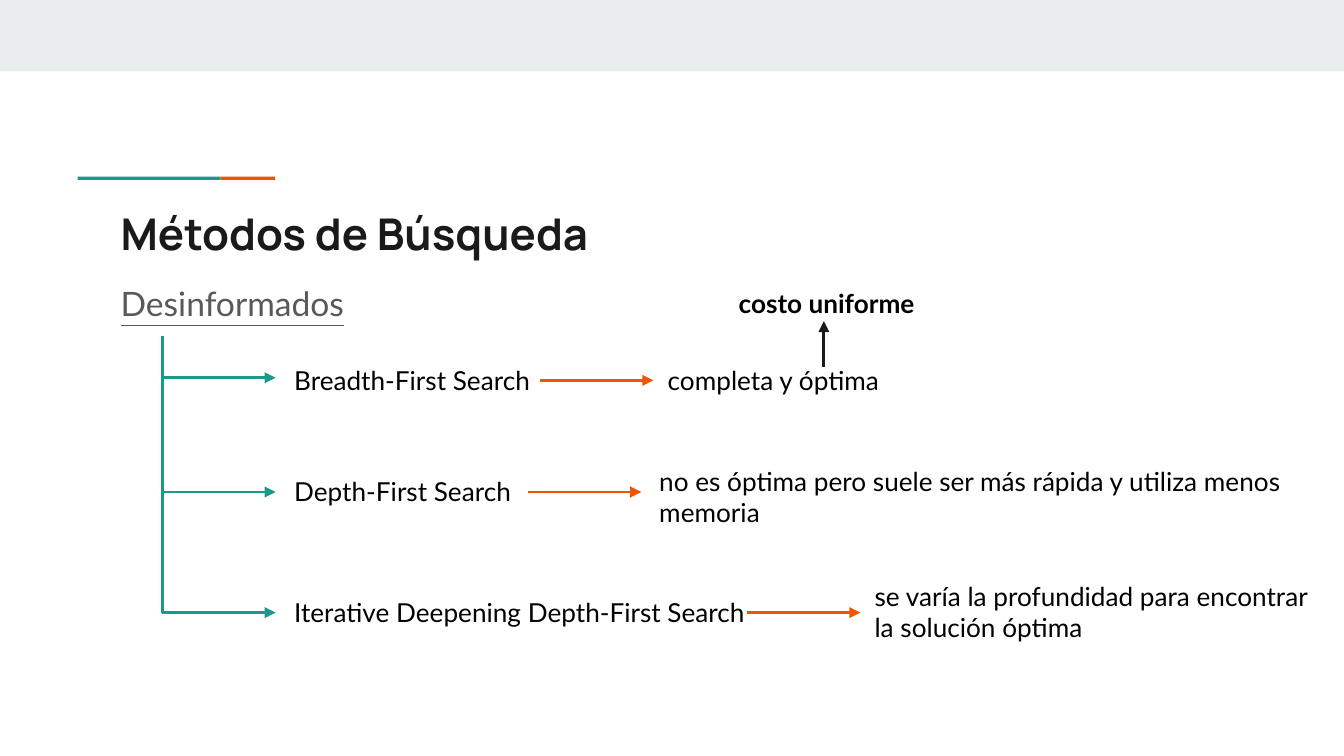
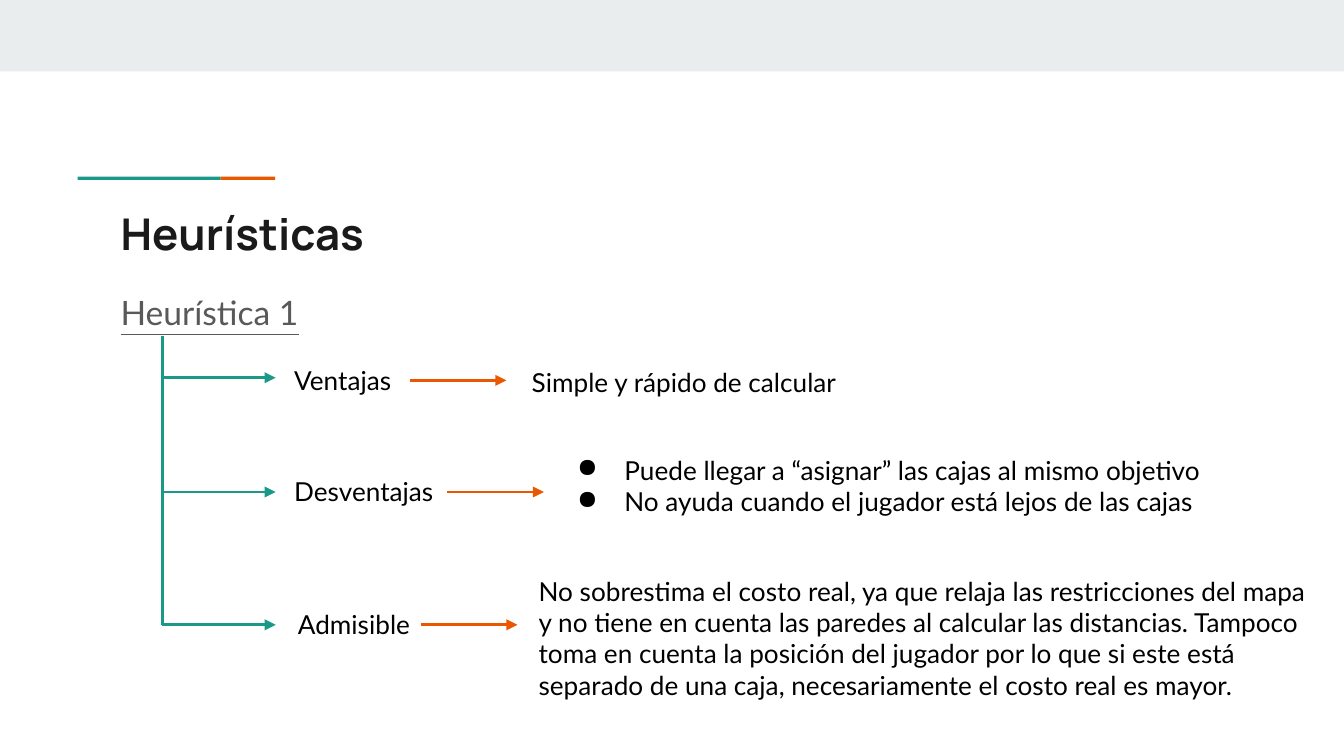
from dataclasses import dataclass
from lxml.etree import SubElement
from pptx import Presentation
from pptx.dml.color import RGBColor
from pptx.enum.shapes import MSO_CONNECTOR, MSO_SHAPE
from pptx.enum.text import MSO_ANCHOR, MSO_AUTO_SIZE, PP_ALIGN
from pptx.oxml.ns import qn
from pptx.util import Cm, Pt

HUES = {"band": "E9EDEE", "teal": "1A9988", "fire": "EB5600",
        "ink": "1A1A1A", "gray": "595959", "black": "000000"}
WIDE, HIGH = 25.4, 14.29
TREE = (3.07, 6.35)
STEM = 2.14
LINE = 1.12


@dataclass
class Row:
    y: float
    label: str
    width: float
    start: float
    span: float
    note: tuple
    box: tuple
    left: float = 2.24
    lift: float = 0
    dots: bool = False


def hue(name):
    return RGBColor.from_string(HUES[name])


def place(shape, box):
    shape.left, shape.top, shape.width, shape.height = map(Cm, box)


def write(shape, *lines, size=14, font="Lato", color="black", bold=False,
          under=False, space=1, after=0, dots=False, fit=MSO_AUTO_SIZE.NONE):
    frame = shape.text_frame
    frame.text = "\n".join(lines)
    frame.word_wrap = True
    frame.auto_size = fit
    frame.vertical_anchor = MSO_ANCHOR.TOP
    frame.margin_left = frame.margin_right = Cm(0.25)
    frame.margin_top = frame.margin_bottom = Cm(0.25)
    for para in frame.paragraphs:
        para.alignment = PP_ALIGN.LEFT
        para.line_spacing = space
        para.space_before, para.space_after = Pt(0), Pt(after)
        face = para.runs[0].font
        face.name, face.size = font, Pt(size)
        face.bold, face.underline = bold, under
        face.color.rgb = hue(color)
        props = para._p.get_or_add_pPr()
        props.set("marL", str(Cm(1.27) if dots else 0))
        props.set("indent", str(Cm(-0.89) if dots else 0))
        if dots:
            tint = SubElement(props, qn("a:buClr"))
            SubElement(tint, qn("a:srgbClr"), val=HUES[color])
            SubElement(props, qn("a:buChar"), char="●")
        else:
            SubElement(props, qn("a:buNone"))


def label(slide, box, *lines, **style):
    shape = slide.shapes.add_textbox(*map(Cm, box))
    write(shape, *lines, fit=MSO_AUTO_SIZE.SHAPE_TO_FIT_TEXT, **style)


def block(slide, box, color):
    shape = slide.shapes.add_shape(MSO_SHAPE.RECTANGLE, *map(Cm, box))
    shape.shadow.inherit = False
    shape.fill.solid()
    shape.fill.fore_color.rgb = hue(color)
    shape.line.fill.background()


def stroke(slide, start, end, color, head=True):
    line = slide.shapes.add_connector(
        MSO_CONNECTOR.STRAIGHT, *map(Cm, (*start, *end)))
    line.line.color.rgb = hue(color)
    line.line.width = Pt(1.5)
    if head:
        SubElement(line.line._get_or_add_ln(), qn("a:tailEnd"), type="triangle")
    SubElement(line._element.spPr, qn("a:effectLst"))


def frame(deck, title, topic, width, space):
    slide = deck.slides.add_slide(deck.slide_layouts[1])
    block(slide, (0, 0, WIDE, 1.35), "band")
    block(slide, (1.47, 3.34, 2.7, 0.06), "teal")
    block(slide, (4.17, 3.34, 1.03, 0.06), "fire")
    head, body = slide.placeholders
    place(head, (2.03, 3.66, 21.36, 1.5))
    write(head, title, size=23.4, font="Manrope", color="ink", bold=True)
    place(body, (2.03, 5.16, width, 1.19))
    write(body, topic, size=18, color="gray", under=True, space=space, after=12)
    return slide


def branch(slide, x, y, row):
    stroke(slide, (x, y - row.lift), (x + STEM, y - row.lift), "teal")
    label(slide, (x + row.left, y - LINE / 2, row.width, LINE), row.label)
    start = x + row.start
    stroke(slide, (start, y), (start + row.span, y), "fire")
    left, top, width, height = row.box
    label(slide, (x + left, y + top, width, height), *row.note, dots=row.dots)


def tree(slide, spot, rows):
    x, y = spot
    stroke(slide, spot, (x, y + rows[-1].y), "teal", head=False)
    for row in rows:
        branch(slide, x, y + row.y, row)


def cost(slide, spot):
    x, y = spot
    stroke(slide, (x + 12.5, y + 0.58), (x + 12.5, y - 0.28), "ink")
    label(slide, (x + 10.64, y - 1.17, 4.06, LINE), "costo uniforme", bold=True)


SEARCH = [
    Row(0.84, "Breadth-First Search", 5.44, 7.14, 2.14,
        ("completa y óptima",), (9.3, -0.56, 4.67, LINE), lift=0.05),
    Row(2.95, "Depth-First Search", 4.67, 6.91, 2.14,
        ("no es óptima pero suele ser más rápida y utiliza menos memoria",),
        (9.14, -0.76, 12.7, 1.7)),
    Row(5.23, "Iterative Deepening Depth-First Search", 9.17, 11.05, 2.14,
        ("se varía la profundidad para encontrar la solución óptima",),
        (13.21, -0.86, 9.17, 1.7)),
]
GUESS = [
    Row(0.84, "Ventajas", 2.64, 4.67, 1.83,
        ("Simple y rápido de calcular",), (6.73, -0.51, 7.11, LINE), lift=0.05),
    Row(2.95, "Desventajas", 3.38, 5.38, 1.83,
        ("Puede llegar a “asignar” las cajas al mismo objetivo",
         "No ayuda cuando el jugador está lejos de las cajas"),
        (7.21, -0.97, 13.77, 1.7), dots=True),
    Row(5.46, "Admisible", 3.38, 4.88, 1.83,
        ("No sobrestima el costo real, ya que relaja las restricciones del "
         "mapa y no tiene en cuenta las paredes al calcular las distancias. "
         "Tampoco toma en cuenta la posición del jugador por lo que si este "
         "está separado de una caja, necesariamente el costo real es mayor.",),
        (6.86, -1.19, 15.16, 3.51), left=2.31),
]


def main():
    deck = Presentation()
    deck.slide_width, deck.slide_height = Cm(WIDE), Cm(HIGH)
    slide = frame(deck, "Métodos de Búsqueda", "Desinformados", 5.08, 0.95)
    tree(slide, TREE, SEARCH)
    cost(slide, TREE)
    slide = frame(deck, "Heurísticas", "Heurística 1", 4.17, 1.15)
    tree(slide, TREE, GUESS)
    deck.save("out.pptx")


if __name__ == "__main__":
    main()
